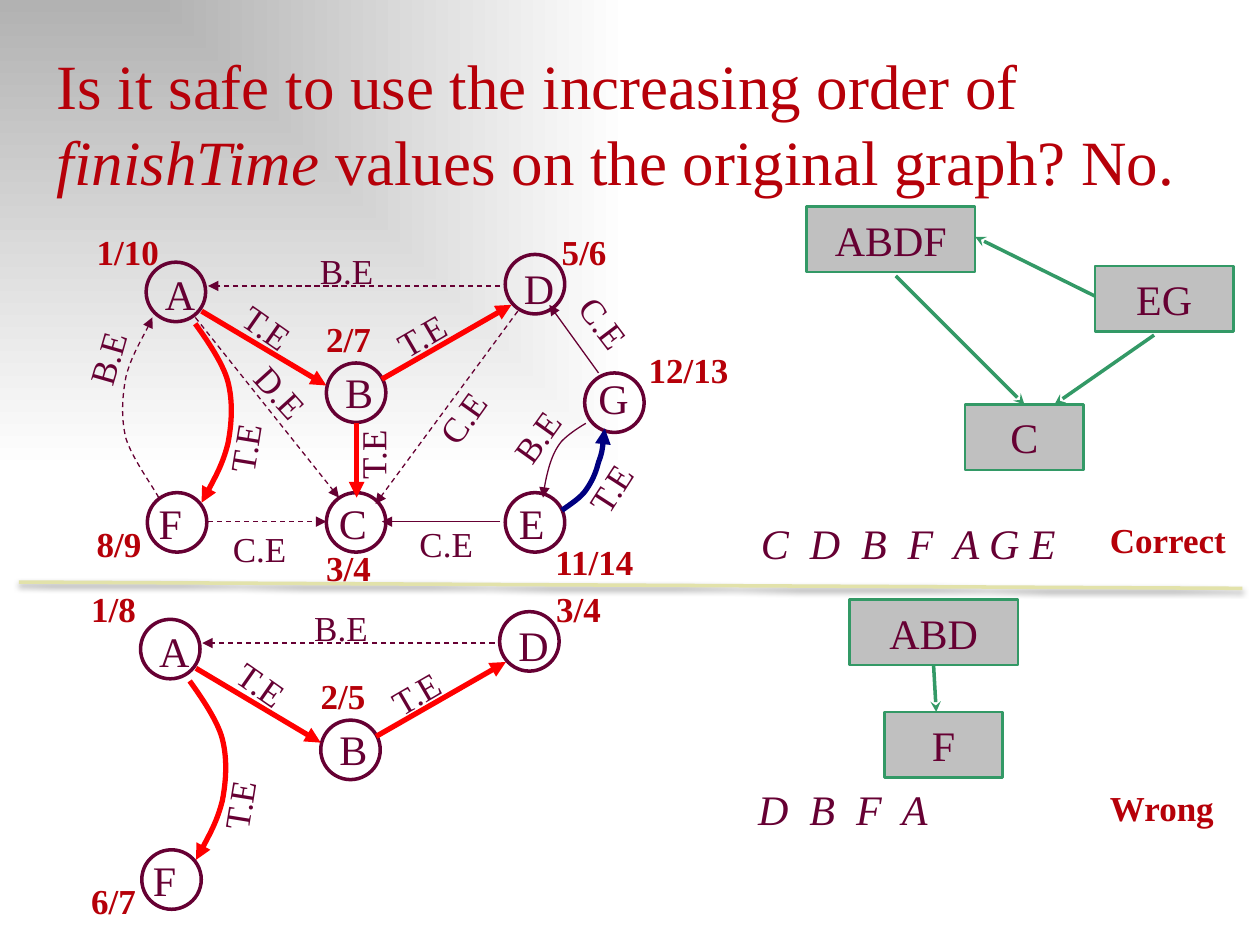
"""Build a slide testing finishing-time order on a depth-first search graph."""
from dataclasses import dataclass
from typing import Any, Optional

import lxml.etree
import pptx
import pptx.dml.color
import pptx.enum.dml
import pptx.enum.shapes
import pptx.enum.text
import pptx.oxml
import pptx.oxml.ns
import pptx.util

Pt = pptx.util.Pt
qn = pptx.oxml.ns.qn
Point = tuple[float, float]
COLORS = {"title": "B60009", "ink": "660033", "tree": "FF0000", "root": "000080",
          "green": "339966", "box": "C0C0C0", "divider": "E2E2AA",
          "shade": "B2B2B2", "white": "FFFFFF"}
FONT = "Times New Roman"
NODE_SIZE = 34
LOWER_SHIFT = (-3.2, 204.1)
NAMESPACE = 'xmlns:a="http://schemas.openxmlformats.org/drawingml/2006/main"'


@dataclass
class Stroke:
    color: str
    width: float
    dashed: bool = False
    head: Optional[str] = "triangle"


@dataclass
class Node:
    name: str
    circle: Point
    label: Point


@dataclass
class Edge:
    points: list[Point]
    stroke: Stroke


@dataclass
class Label:
    text: str
    left: float
    top: float
    width: float = 64
    height: float = 31
    rotation: float = 0
    size: float = 20
    color: str = "ink"
    bold: bool = False
    italic: bool = False


@dataclass
class Component:
    name: str
    left: float
    top: float
    width: float


TREE = Stroke("tree", 3)
ROOT = Stroke("root", 3)
PLAIN = Stroke("ink", 0.75)
DASHED = Stroke("ink", 0.75, dashed=True)
COMPONENT_ARROW = Stroke("green", 2, head="stealth")

SHARED_NODES = [Node("A", (83.5, 149.8), (87.1, 149.8)), Node("D", (288.7, 145.4), (292.3, 146.2)),
                Node("B", (186.5, 207.4), (190.1, 205.9)), Node("F", (84.2, 281.5), (83.5, 280.8))]
UPPER_NODES = [Node("G", (334.1, 213.1), (334.8, 209.5)), Node("E", (288.7, 281.5), (289.4, 280.8)),
               Node("C", (186.5, 281.5), (186.5, 280.8))]
SHARED_EDGES = [
    Edge([(285.8, 163.4), (118.8, 163.4)], DASHED),
    Edge([(115.2, 177.8), (186.5, 220.3)], TREE),
    Edge([(218.2, 216.7), (292.3, 174.2)], TREE),
    Edge([(111.6, 185), (115.2, 190.1), (127.4, 206.6), (130.3, 218.2), (133.2, 229.7),
          (132.5, 241.9), (130.3, 253.4), (127.4, 265), (118.8, 280.8), (115.2, 287.3)], TREE)]
UPPER_EDGES = [
    Edge([(203.8, 241.9), (203.8, 284.4)], TREE),
    Edge([(295.9, 177.8), (214.6, 288)], DASHED),
    Edge([(118.8, 298.1), (186.5, 298.1)], DASHED),
    Edge([(285.8, 298.1), (218.2, 298.1)], PLAIN),
    Edge([(342, 213.1), (313.9, 174.2)], PLAIN),
    Edge([(111.6, 181.4), (193.7, 284.4)], DASHED),
    Edge([(90.7, 284.4), (87.8, 278.6), (75.6, 262.1), (72, 250.6), (69.1, 239),
          (69.8, 226.8), (72, 215.3), (74.9, 203.8), (84.2, 188.6), (87.1, 181.4)], DASHED),
    Edge([(334.8, 241.9), (329.8, 244.8), (324.7, 248.4), (321.1, 252), (317.5, 256.3),
          (315.4, 261.4), (313.9, 266.4), (312.5, 271.4), (311, 277.9), (310.3, 284.4)], PLAIN),
    Edge([(321.1, 291.6), (326.2, 288), (331.9, 284.4), (334.8, 280.1), (338.4, 275),
          (340.6, 270), (342, 264.2), (344.2, 258.5), (344.9, 252), (345.6, 244.8)], ROOT)]
SHARED_LABELS = [Label("T.E", 109.4, 229.7, rotation=279.2), Label("T.E", 129.6, 177.8, rotation=35),
                 Label("T.E", 218.2, 170.6, rotation=329.8), Label("B.E", 175.7, 139)]
UPPER_LABELS = [Label("T.E", 322.6, 254.2, rotation=302.8), Label("T.E", 180.7, 233.3, rotation=270),
                Label("C.E", 237.6, 215.3, rotation=305.5), Label("C.E", 126, 298.1),
                Label("D.E", 134.6, 215.3, rotation=48), Label("B.E", 31.7, 180, rotation=286),
                Label("C.E", 319, 176.4, rotation=52.8), Label("C.E", 232.6, 295.2),
                Label("B.E", 280.1, 226.1, rotation=305.5)]
TIME_PLACES = {"A": (48.2, 128.2), "F": (48.2, 295.2), "C": (179.3, 308.9), "B": (179.3, 177.8),
               "D": (313.9, 128.2), "E": (310.3, 305.3), "G": (363.6, 195.8)}
UPPER_TIMES = {"A": "1/10", "F": "8/9", "C": "3/4", "B": "2/7", "D": "5/6", "E": "11/14", "G": "12/13"}
LOWER_TIMES = {"A": "1/8", "F": "6/7", "B": "2/5", "D": "3/4"}
COMPONENTS = [Component("ABDF", 460.8, 118.1, 96.5), Component("C", 551.5, 231.1, 67.7),
              Component("EG", 625.7, 151.9, 79.2), Component("ABD", 485.3, 342.7, 96.5),
              Component("F", 505.4, 406.8, 67.7)]
COMPONENT_EDGES = [Edge(points, COMPONENT_ARROW) for points in (
    [(625.7, 169.2), (557.3, 135.4)], [(511.9, 157.7), (585.4, 231.1)],
    [(659.5, 191.5), (602.6, 231.1)], [(533.5, 380.2), (535, 406.8)])]
VERDICTS = [Label("C  D  B  F  A G E", 427.7, 292.3, 199.4, 36, size=24, italic=True),
            Label("Correct", 627.1, 293, 96.5, 31.7, color="title", bold=True),
            Label("D  B  F  A", 426.2, 444.2, 199.4, 36, size=24, italic=True),
            Label("Wrong", 627.1, 445.7, 92.9, 31.7, color="title", bold=True)]


def rgb(name: str) -> pptx.dml.color.RGBColor:
    """Return a named colour."""
    return pptx.dml.color.RGBColor.from_string(COLORS[name])


def set_values(target: Any, values: dict[str, Any]) -> None:
    """Set each format value on the target."""
    for name, value in values.items():
        setattr(target, name, value)


def add_run(paragraph: Any, text: str, size: float, color: str, **extra: bool) -> None:
    """Append a formatted run."""
    run = paragraph.add_run()
    run.text = text
    set_values(run.font, {"name": FONT, "size": Pt(size), **extra})
    run.font.color.rgb = rgb(color)


def draw_label(slide: Any, label: Label, shift: Point = (0, 0)) -> None:
    """Draw a text box."""
    shape = slide.shapes.add_textbox(Pt(label.left + shift[0]), Pt(label.top + shift[1]),
                                     Pt(label.width), Pt(label.height))
    shape.rotation = label.rotation
    shape.text_frame.word_wrap = True
    add_run(shape.text_frame.paragraphs[0], label.text, label.size, label.color,
            bold=label.bold, italic=label.italic)


def style_line(shape: Any, stroke: Stroke) -> None:
    """Apply colour, width, dash and arrowhead to a line."""
    shape.line.color.rgb = rgb(stroke.color)
    shape.line.width = Pt(stroke.width)
    if stroke.dashed:
        shape.line.dash_style = pptx.enum.dml.MSO_LINE.DASH
    if stroke.head:
        lxml.etree.SubElement(shape.line._get_or_add_ln(), qn("a:tailEnd"), type=stroke.head)


def draw_edge(slide: Any, edge: Edge, shift: Point = (0, 0)) -> Any:
    """Draw a straight connector or a chain of cubic curves."""
    points = [(Pt(x + shift[0]), Pt(y + shift[1])) for x, y in edge.points]
    if len(points) == 2:
        shape = slide.shapes.add_connector(pptx.enum.shapes.MSO_CONNECTOR.STRAIGHT, *points[0], *points[1])
        lxml.etree.SubElement(shape._element.spPr, qn("a:effectLst"))
    else:
        builder = slide.shapes.build_freeform(*points[0])
        builder.add_line_segments(points[1:], close=False)
        shape = builder.convert_to_shape()
        shape.fill.background()
        shape.shadow.inherit = False
        outline = shape._element.find(".//" + qn("a:path"))
        segments = outline.findall(qn("a:lnTo"))
        for start in range(0, len(segments), 3):
            curve = lxml.etree.SubElement(outline, qn("a:cubicBezTo"))
            for segment in segments[start:start + 3]:
                curve.append(segment[0])
                outline.remove(segment)
    style_line(shape, edge.stroke)
    return shape


def draw_graph(slide: Any, nodes: list[Node], edges: list[Edge], labels: list[Label],
               times: dict[str, str], shift: Point = (0, 0)) -> None:
    """Draw a search graph with its edge kinds and times."""
    for node in nodes:
        left, top = node.circle
        circle = slide.shapes.add_shape(pptx.enum.shapes.MSO_SHAPE.OVAL, Pt(left + shift[0]),
                                        Pt(top + shift[1]), Pt(NODE_SIZE), Pt(NODE_SIZE))
        circle.fill.background()
        circle.shadow.inherit = False
        style_line(circle, Stroke("ink", 2, head=None))
    for edge in edges:
        draw_edge(slide, edge, shift)
    names = [Label(node.name, *node.label, 46, 36, size=24) for node in nodes]
    marks = [Label(text, *TIME_PLACES[name], 68, color="title", bold=True) for name, text in times.items()]
    for label in names + labels + marks:
        draw_label(slide, label, shift)


def draw_component(slide: Any, component: Component) -> None:
    """Draw a box for a strongly connected component."""
    shape = slide.shapes.add_shape(pptx.enum.shapes.MSO_SHAPE.RECTANGLE, Pt(component.left),
                                   Pt(component.top), Pt(component.width), Pt(37.4))
    shape.shadow.inherit = False
    shape.fill.solid()
    shape.fill.fore_color.rgb = rgb("box")
    style_line(shape, Stroke("green", 1.5, head=None))
    add_run(shape.text_frame.paragraphs[0], component.name, 24, "ink")


def draw_background(slide: Any) -> None:
    """Fill the background with a gradient from the top left corner."""
    fill = slide.background.fill
    fill.gradient()
    for stop, name in zip(fill.gradient_stops, ("shade", "white")):
        stop.color.rgb = rgb(name)
    gradient = slide.element.find(".//" + qn("a:gradFill"))
    gradient.replace(gradient.find(qn("a:lin")), pptx.oxml.parse_xml(
        f'<a:path {NAMESPACE} path="rect"><a:fillToRect r="100000" b="100000"/></a:path>'))


def draw_title(slide: Any) -> None:
    """Place and write the title."""
    title = slide.shapes.title
    set_values(title, {"left": Pt(25.2), "top": Pt(22.3), "width": Pt(680.4), "height": Pt(94.3)})
    set_values(title.text_frame, {"word_wrap": True, "auto_size": pptx.enum.text.MSO_AUTO_SIZE.NONE,
                                  "vertical_anchor": pptx.enum.text.MSO_ANCHOR.BOTTOM})
    paragraph = title.text_frame.paragraphs[0]
    paragraph.alignment = pptx.enum.text.PP_ALIGN.LEFT
    for text, italic in (("Is it safe to use the increasing order of ", False), ("finishTime", True),
                         (" values on the original graph? No.", False)):
        add_run(paragraph, text, 36, "title", italic=italic)


def draw_divider(slide: Any) -> None:
    """Draw the shadowed line between the two cases."""
    divider = draw_edge(slide, Edge([(10.8, 332.6), (709.9, 336.2)], Stroke("divider", 2, head=None)))
    divider._element.spPr.find(qn("a:effectLst")).append(pptx.oxml.parse_xml(
        f'<a:outerShdw {NAMESPACE} blurRad="{Pt(3.1)}" dist="{Pt(1.6)}" dir="5400000">'
        '<a:srgbClr val="000000"><a:alpha val="38000"/></a:srgbClr></a:outerShdw>'))


def main() -> None:
    """Build and save the presentation."""
    presentation = pptx.Presentation()
    set_values(presentation, {"slide_width": Pt(720), "slide_height": Pt(540)})
    slide = presentation.slides.add_slide(presentation.slide_layouts[5])
    draw_background(slide)
    draw_title(slide)
    for component in COMPONENTS:
        draw_component(slide, component)
    for edge in COMPONENT_EDGES:
        draw_edge(slide, edge)
    draw_graph(slide, SHARED_NODES + UPPER_NODES, SHARED_EDGES + UPPER_EDGES,
               SHARED_LABELS + UPPER_LABELS, UPPER_TIMES)
    draw_graph(slide, SHARED_NODES, SHARED_EDGES, SHARED_LABELS, LOWER_TIMES, LOWER_SHIFT)
    draw_divider(slide)
    for verdict in VERDICTS:
        draw_label(slide, verdict)
    presentation.save("out.pptx")


if __name__ == "__main__":
    main()
